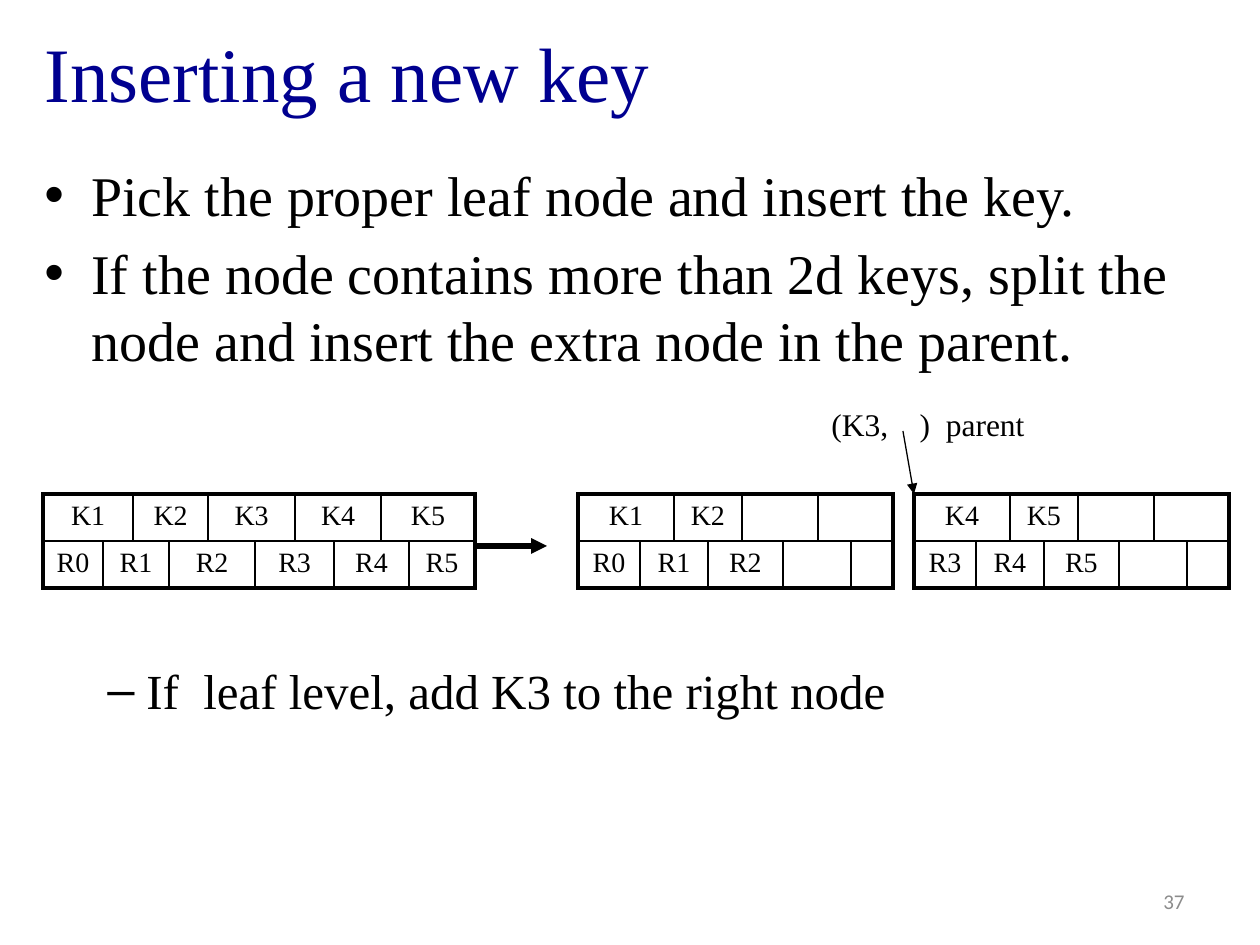
from lxml.etree import SubElement
from pptx import Presentation
from pptx.dml.color import RGBColor
from pptx.enum.shapes import MSO_CONNECTOR
from pptx.enum.text import MSO_ANCHOR, PP_ALIGN
from pptx.oxml.ns import qn
from pptx.util import Emu, Pt

PIXEL = 914400 // 126
SERIF = "Times New Roman"
BLACK = "000000"
OUTER, INNER = 2.25, 1

TITLE = "Inserting a new key"
# text, size, bullet, left margin, hanging indent, space before in points
POINTS = [
    ("Pick the proper leaf node and insert the key.", 32, "•", 47, 47, 6.4),
    ("If the node contains more than 2d keys, split the node and insert "
     "the extra node in the parent.", 32, "•", 47, 47, 6.4),
    ("If  leaf level, add K3 to the right node", 28, "–", 102, 39, 164),
]
FULL_COLUMNS = [60, 29, 36, 39, 47, 40, 39, 47, 28, 66]
SPLIT_COLUMNS = [62, 34, 34, 34, 41, 35, 33, 42]
NODE_TOP, ROW_HEIGHT = 494, 47
# left edge, column widths, keys, references
NODES = [
    (43, FULL_COLUMNS, ["K1", "K2", "K3", "K4", "K5"],
     ["R0", "R1", "R2", "R3", "R4", "R5"]),
    (578, SPLIT_COLUMNS, ["K1", "K2", "", ""], ["R0", "R1", "R2", "", ""]),
    (914, SPLIT_COLUMNS, ["K4", "K5", "", ""], ["R3", "R4", "R5", "", ""]),
]
# start, end, line width in points
ARROWS = [((903, 431), (914, 494), 0.75), ((473, 546), (547, 546), 3)]


def px(*lengths):
    """Turn pixel lengths into EMU."""
    return [Emu(round(length * PIXEL)) for length in lengths]


def color(value):
    """Turn a hex string into a colour."""
    return RGBColor.from_string(value)


def write(paragraph, text, size, ink=BLACK, font=SERIF, align=PP_ALIGN.LEFT):
    """Add one formatted run to a paragraph."""
    paragraph.alignment = align
    run = paragraph.add_run()
    run.text = text
    run.font.size, run.font.name = Pt(size), font
    run.font.color.rgb = color(ink)


def add_frame(slide, box, wrap=True, anchor=MSO_ANCHOR.TOP):
    """Add a text box and return its text frame."""
    frame = slide.shapes.add_textbox(*px(*box)).text_frame
    frame.word_wrap, frame.vertical_anchor = wrap, anchor
    return frame


def add_points(slide, box):
    """Add the bulleted text."""
    frame = add_frame(slide, box)
    for index, (text, size, bullet, margin, hang, before) in enumerate(POINTS):
        point = frame.add_paragraph() if index else frame.paragraphs[0]
        write(point, text, size)
        point.space_before = Pt(before)
        properties = point._p.get_or_add_pPr()
        left, indent = px(margin, -hang)
        properties.set("marL", str(left))
        properties.set("indent", str(indent))
        SubElement(properties, qn("a:buFont"), typeface="Arial")
        SubElement(properties, qn("a:buChar"), char=bullet)


def set_borders(cell, widths):
    """Draw the four borders of a cell, given by side letter."""
    properties = cell._tc.get_or_add_tcPr()
    for side, width in widths.items():
        line = SubElement(properties, qn(f"a:ln{side}"), w=str(Pt(width)))
        fill = SubElement(line, qn("a:solidFill"))
        SubElement(fill, qn("a:srgbClr"), val=BLACK)


def add_node(slide, left, columns, keys, references):
    """Add a tree node: keys above, references staggered by half a key."""
    count = len(columns)
    box = px(left, NODE_TOP, sum(columns), 2 * ROW_HEIGHT)
    table = slide.shapes.add_table(2, count, *box).table
    table.first_row = table.horz_banding = False
    for column, width in zip(table.columns, px(*columns)):
        column.width = width
    key_spans = [(start, start + 1) for start in range(0, count, 2)]
    reference_spans = [(max(start, 0), min(start + 1, count - 1))
                       for start in range(-1, count, 2)]
    for row, (labels, spans) in enumerate([(keys, key_spans),
                                           (references, reference_spans)]):
        for label, (first, last) in zip(labels, spans):
            widths = {"L": INNER if first else OUTER,
                      "R": INNER if last < count - 1 else OUTER,
                      "T": INNER if row else OUTER,
                      "B": OUTER if row else INNER}
            for position in range(first, last + 1):
                cell = table.cell(row, position)
                set_borders(cell, widths)
                cell.fill.background()
                SubElement(cell.text_frame.paragraphs[0]._p,
                           qn("a:endParaRPr"), sz="1600")
            origin = table.cell(row, first)
            if last > first:
                origin.merge(table.cell(row, last))
            if label:
                write(origin.text_frame.paragraphs[0], label, 16,
                      align=PP_ALIGN.CENTER)


def add_arrow(slide, start, end, width):
    """Add a straight arrow."""
    arrow = slide.shapes.add_connector(MSO_CONNECTOR.STRAIGHT,
                                       *px(*start, *end))
    arrow.line.color.rgb, arrow.line.width = color(BLACK), Pt(width)
    SubElement(arrow.line._get_or_add_ln(), qn("a:tailEnd"), type="triangle")
    SubElement(arrow._element.spPr, qn("a:effectLst"))


deck = Presentation()
deck.slide_width, deck.slide_height = px(1260, 945)
slide = deck.slides.add_slide(deck.slide_layouts[5])

title = slide.shapes.title
title.left, title.top, title.width, title.height = px(32, 6, 1203, 131)
title.text_frame.vertical_anchor = MSO_ANCHOR.MIDDLE
write(title.text_frame.paragraphs[0], TITLE, 44, "000090")

add_points(slide, (32, 154, 1203, 772))
page = add_frame(slide, (903, 876, 294, 50), anchor=MSO_ANCHOR.MIDDLE)
write(page.paragraphs[0], "37", 12, "8C8C8C", "Calibri", PP_ALIGN.RIGHT)
for node in NODES:
    add_node(slide, *node)
parent = add_frame(slide, (819, 399, 220, 50), wrap=False)
write(parent.paragraphs[0], "(K3,    )  parent", 18)
for arrow_ends in ARROWS:
    add_arrow(slide, *arrow_ends)

deck.save("out.pptx")
